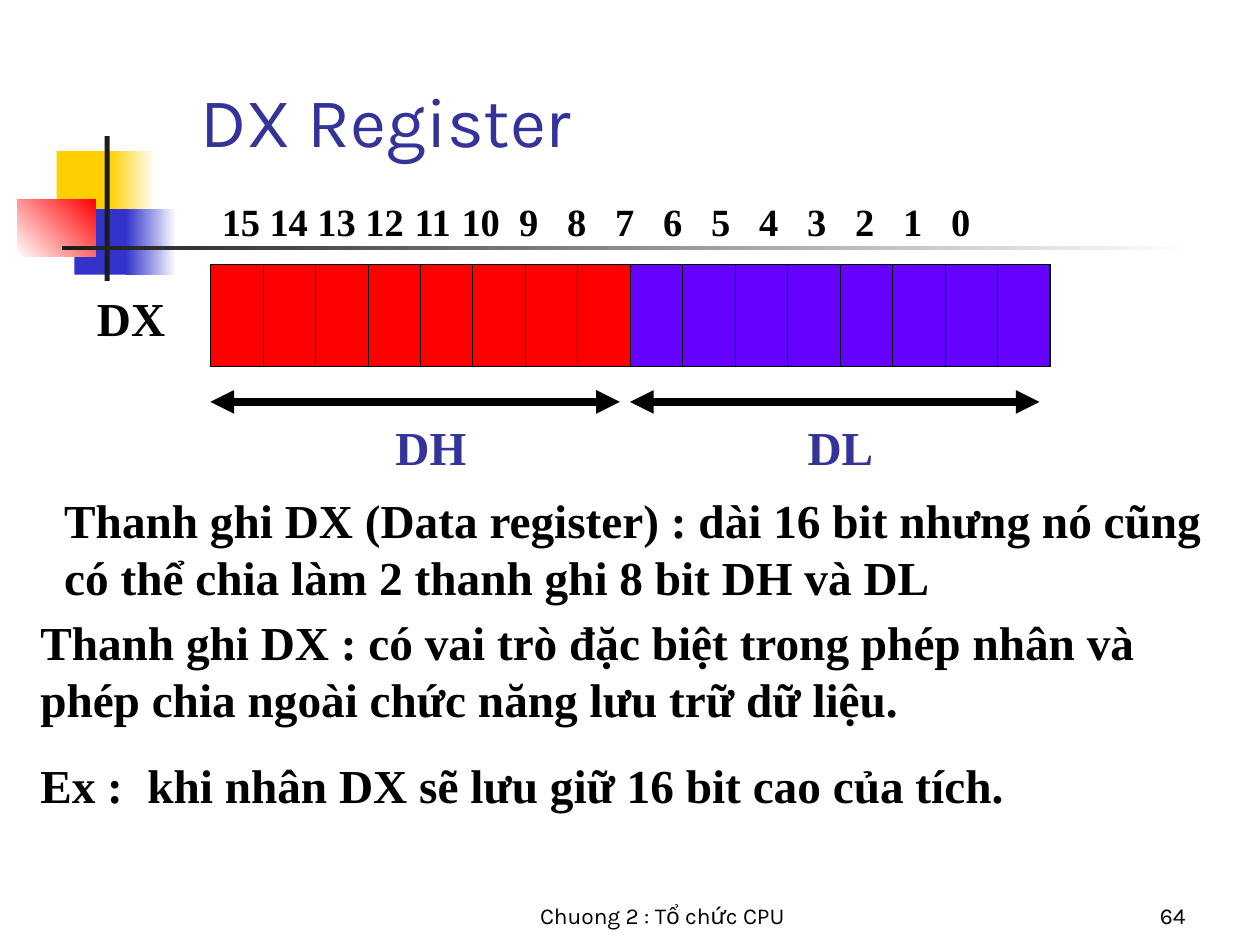
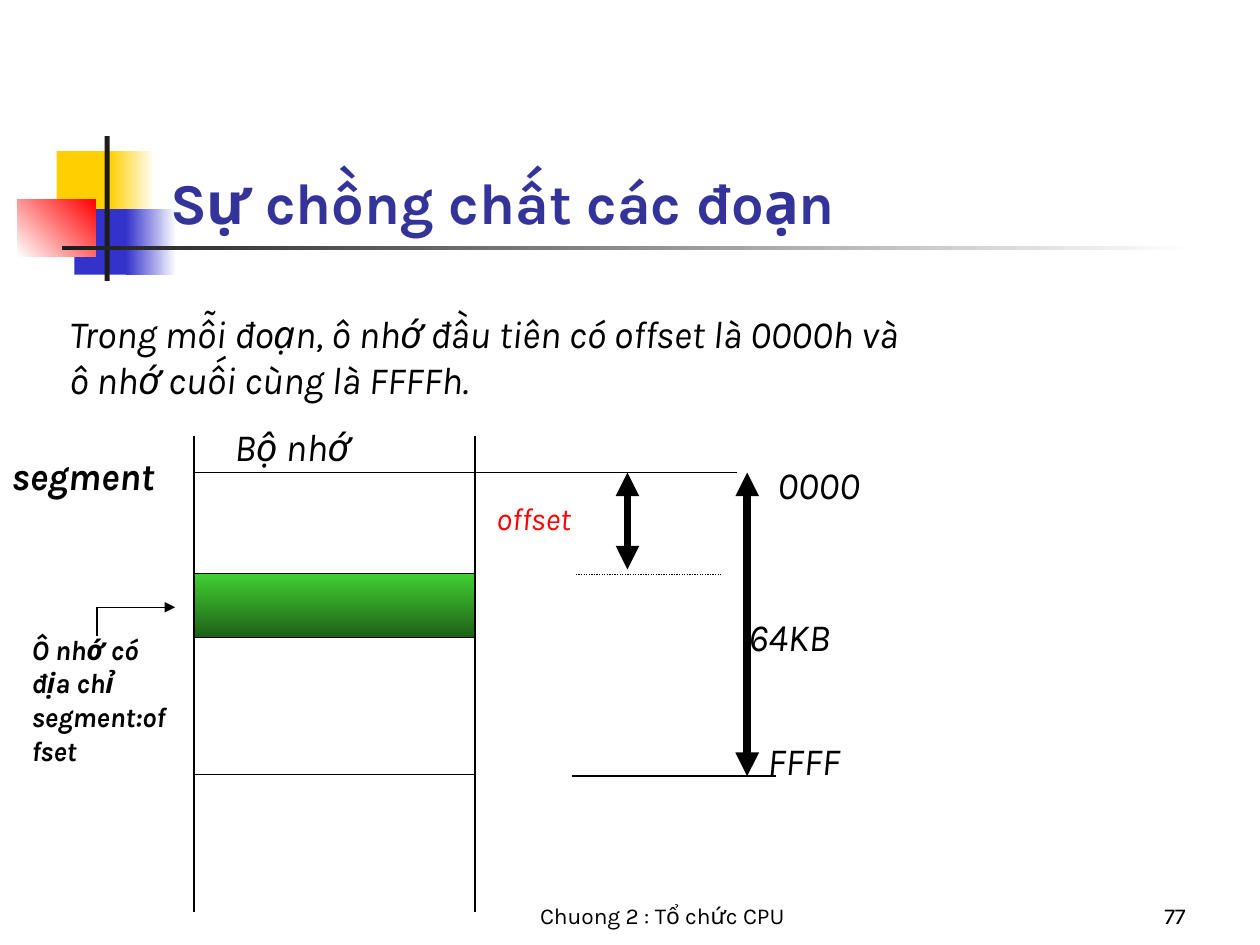
import dataclasses

import lxml.etree
import pptx
import pptx.dml.color
import pptx.dml.fill
import pptx.enum.dml
import pptx.enum.shapes
import pptx.enum.text
import pptx.oxml.ns
import pptx.presentation
import pptx.slide
import pptx.table
import pptx.util

RGBColor = pptx.dml.color.RGBColor
BLACK = RGBColor(0x00, 0x00, 0x00)
WHITE = RGBColor(0xFF, 0xFF, 0xFF)
COAL = RGBColor(0x1C, 0x1C, 0x1C)
GOLD = RGBColor(0xFF, 0xCF, 0x01)
BLUE = RGBColor(0x33, 0x33, 0xCC)
NAVY = RGBColor(0x33, 0x33, 0x99)
RED = RGBColor(0xFF, 0x00, 0x00)
VIOLET = RGBColor(0x66, 0x00, 0xFF)
LIME = RGBColor(0x40, 0xCF, 0x31)
FOREST = RGBColor(0x1E, 0x60, 0x17)

WIDTH = pptx.util.Inches(10)
HEIGHT = pptx.util.Inches(7.5)
COLS, ROWS = 100, 75
SANS, SERIF = "Karla", "Times New Roman"
THIN, THICK = 0.45, 1.08
ALIGN = pptx.enum.text.PP_ALIGN
ANCHOR = pptx.enum.text.MSO_ANCHOR
qn = pptx.oxml.ns.qn


@dataclasses.dataclass
class Box:
    left: float
    top: float
    wide: float
    high: float


@dataclasses.dataclass
class Label:
    box: Box
    text: str
    size: float
    font: str = SANS
    ink: RGBColor = BLACK
    bold: bool = False
    slant: bool = False
    align: ALIGN = ALIGN.LEFT
    anchor: ANCHOR = ANCHOR.TOP
    gap: float = 0
    tabs: tuple = ()
    stop: str = "l"


@dataclasses.dataclass
class Band:
    box: Box
    inks: tuple
    angle: float = 0


@dataclasses.dataclass
class Rule:
    start: tuple
    end: tuple
    weight: float = 0.75
    head: bool = False
    tail: bool = False
    dots: bool = False


BANDS = (
    Band(Box(4.5, 12, 4.8, 5.2), (GOLD,)),
    Band(Box(8.7, 12, 3.6, 5.2), (GOLD, WHITE)),
    Band(Box(5.9, 16.6, 4.6, 5.2), (BLUE,)),
    Band(Box(10, 16.6, 4, 5.2), (BLUE, WHITE)),
    Band(Box(1.4, 15.8, 6.2, 4.6), (WHITE, RED), 45),
    Band(Box(8.3, 10.8, 0.4, 11.5), (COAL,)),
    Band(Box(4.9, 19.5, 89.9, 0.35), (COAL, WHITE)),
)


def col(count: float) -> int:
    return round(WIDTH * count / COLS)


def row(count: float) -> int:
    return round(HEIGHT * count / ROWS)


def place(box: Box) -> tuple:
    return col(box.left), row(box.top), col(box.wide), row(box.high)


def style(thing: object, values: dict) -> None:
    for name, value in values.items():
        setattr(thing, name, value)


def paint(fill: pptx.dml.fill.FillFormat, inks: tuple, angle: float = 0) -> None:
    if not inks:
        fill.background()
    elif len(inks) == 1:
        fill.solid()
        fill.fore_color.rgb = inks[0]
    else:
        fill.gradient()
        fill.gradient_angle = angle
        for stop, ink in zip(fill.gradient_stops, inks):
            stop.color.rgb = ink


def write(shape: object, label: Label) -> None:
    frame = shape.text_frame
    side, edge = col(0.9), row(0.5)
    style(frame, {
        "text": label.text,
        "word_wrap": True,
        "auto_size": pptx.enum.text.MSO_AUTO_SIZE.NONE,
        "vertical_anchor": label.anchor,
        "margin_left": side,
        "margin_right": side,
        "margin_top": edge,
        "margin_bottom": edge,
    })
    for index, para in enumerate(frame.paragraphs):
        style(para, {"alignment": label.align, "space_before": pptx.util.Pt(label.gap if index else 0)})
        if label.tabs:
            stops = lxml.etree.SubElement(para._p.get_or_add_pPr(), qn("a:tabLst"))
            for tab in label.tabs:
                lxml.etree.SubElement(stops, qn("a:tab"), pos=str(col(tab)), algn=label.stop)
        style(para.font, {
            "size": pptx.util.Pt(label.size),
            "name": label.font,
            "bold": label.bold,
            "italic": label.slant,
        })
        para.font.color.rgb = label.ink


def add_label(slide: pptx.slide.Slide, label: Label) -> None:
    write(slide.shapes.add_textbox(*place(label.box)), label)


def add_rule(slide: pptx.slide.Slide, rule: Rule) -> None:
    (left, top), (right, low) = rule.start, rule.end
    line = slide.shapes.add_connector(
        pptx.enum.shapes.MSO_CONNECTOR.STRAIGHT, col(left), row(top), col(right), row(low))
    line.line.color.rgb = BLACK
    line.line.width = pptx.util.Pt(rule.weight)
    if rule.dots:
        line.line.dash_style = pptx.enum.dml.MSO_LINE.ROUND_DOT
    props = line.element.spPr
    for tag, shown in (("a:headEnd", rule.head), ("a:tailEnd", rule.tail)):
        if shown:
            lxml.etree.SubElement(props.find(qn("a:ln")), qn(tag), type="triangle")
    lxml.etree.SubElement(props, qn("a:effectLst"))


def add_table(slide: pptx.slide.Slide, box: Box, wides: list, highs: list) -> pptx.table.Table:
    table = slide.shapes.add_table(len(highs), len(wides), *place(box)).table
    style(table, {"first_row": False, "horz_banding": False})
    for column, wide in zip(table.columns, wides):
        column.width = col(wide)
    for line, high in zip(table.rows, highs):
        line.height = row(high)
    return table


def add_edges(cell: pptx.table._Cell, left: float, right: float, top: float, low: float) -> None:
    props = cell._tc.get_or_add_tcPr()
    for index, (side, weight) in enumerate(zip("LRTB", (left, right, top, low))):
        edge = lxml.etree.Element(qn(f"a:ln{side}"), w=str(pptx.util.Pt(weight)))
        if weight:
            fill = lxml.etree.SubElement(edge, qn("a:solidFill"))
            lxml.etree.SubElement(fill, qn("a:srgbClr"), val=str(BLACK))
        else:
            lxml.etree.SubElement(edge, qn("a:noFill"))
        props.insert(index, edge)


def add_bands(slide: pptx.slide.Slide) -> None:
    tree = slide.slide_layout.shapes.element
    for index, band in enumerate(BANDS):
        shape = slide.shapes.add_shape(pptx.enum.shapes.MSO_SHAPE.RECTANGLE, *place(band.box))
        shape.shadow.inherit = False
        shape.line.fill.background()
        paint(shape.fill, band.inks, band.angle)
        tree.insert(2 + index, shape.element)


def add_slide(deck: pptx.presentation.Presentation, title: Label, number: int) -> pptx.slide.Slide:
    slide = deck.slides.add_slide(deck.slide_layouts.get_by_name("Title Only"))
    head = slide.shapes.title
    style(head, dict(zip(("left", "top", "width", "height"), place(title.box))))
    write(head, title)
    for box, text, align in (
        (Box(36.7, 69.2, 31.7, 5), "Chuong 2 : Tổ chức CPU", ALIGN.CENTER),
        (Box(74.2, 69.2, 20.8, 5), str(number), ALIGN.RIGHT),
    ):
        add_label(slide, Label(box, text, 13, align=align, anchor=ANCHOR.BOTTOM))
    return slide


def draw_register(deck: pptx.presentation.Presentation) -> None:
    title = Label(Box(15, 5, 49.2, 8.3), "DX Register", 40, ink=NAVY, anchor=ANCHOR.BOTTOM)
    slide = add_slide(deck, title, 64)
    add_bands(slide)

    bits = 16
    half = bits // 2
    left, wide = 16.7, 66.7
    table = add_table(slide, Box(left, 21, wide, 8.1), [wide / bits] * bits, [8.1])
    for bit in range(bits):
        cell = table.cell(0, bit)
        paint(cell.fill, (RED if bit < half else VIOLET,))
        add_edges(cell, THIN if bit else THICK, THICK if bit == bits - 1 else THIN, THICK, THICK)

    serif = {"font": SERIF, "bold": True}
    add_label(slide, Label(
        Box(left, 15.2, 69.1, 4.6), "\t".join(str(bit) for bit in reversed(range(bits))), 22,
        tabs=tuple(1.5 + 3.81 * bit for bit in range(1, bits)), stop="ctr", **serif))
    add_label(slide, Label(Box(5, 22.5, 10.8, 5.4), "DX", 27, align=ALIGN.CENTER, **serif))
    for index, name in enumerate(("DH", "DL")):
        start = left + index * 33.3
        add_rule(slide, Rule((start, 31.9), (start + 32.5, 31.9), 4.5, True, True))
        add_label(slide, Label(
            Box(24.2 + index * 32.5, 32.7, 20, 5.4), name, 27, ink=NAVY, align=ALIGN.CENTER, **serif))
    add_label(slide, Label(
        Box(2.3, 48.2, 90, 16.8),
        "Thanh ghi DX : có vai trò đặc biệt trong phép nhân và phép chia ngoài chức năng "
        "lưu trữ dữ liệu.\nEx :\tkhi nhân DX sẽ lưu giữ 16 bit cao của tích.",
        27, gap=16.9, tabs=(8.5,), **serif))
    add_label(slide, Label(
        Box(4.2, 38.5, 93.4, 9.9),
        "Thanh ghi DX (Data register) : dài 16 bit nhưng nó cũng có thể chia làm "
        "2 thanh ghi 8 bit DH và DL", 27, **serif))


def draw_segment(deck: pptx.presentation.Presentation) -> None:
    title = Label(Box(12.6, 12, 85.2, 7.2), "Sự chồng chất các đoạn", 33,
                  ink=NAVY, bold=True, anchor=ANCHOR.BOTTOM)
    slide = add_slide(deck, title, 77)

    highs = [10.9, 5.1, 10.9, 10.9]
    last = len(highs) - 1
    table = add_table(slide, Box(15.4, 34.6, 22.3, sum(highs)), [22.3], highs)
    for index in range(len(highs)):
        cell = table.cell(index, 0)
        paint(cell.fill, (LIME, FOREST) if index == 1 else (), 270)
        add_edges(cell, THICK, THICK, THIN if index else 0, THIN if index < last else 0)

    base, low = 37.5, 61.6
    for rule in (
        Rule((15.4, base), (46.9, base)),
        Rule((46.9, base), (58.5, base)),
        Rule((45.7, 45.6), (57.2, 45.6), dots=True),
        Rule((45.4, low), (61.6, low)),
        Rule((49.8, base), (49.8, 45.2), 4.5, True, True),
        Rule((59.3, base), (59.3, low), 4.5, True, True),
        Rule((7.7, 48.2), (13.9, 48.2), tail=True),
        Rule((7.7, 48.2), (7.7, 50.5)),
    ):
        add_rule(slide, rule)

    for label in (
        Label(Box(4.6, 24.1, 69.3, 8.2),
              "Trong mỗi đoạn, ô nhớ đầu tiên có offset là 0000h và ô nhớ cuối cùng là FFFFh.", 22),
        Label(Box(58.5, 48.2, 13.1, 4.6), "64KB", 22),
        Label(Box(60.8, 36.1, 12.3, 4.6), "0000", 22),
        Label(Box(60, 58, 12.3, 4.6), "FFFF", 22),
        Label(Box(38.5, 39.1, 8.5, 3.9), "offset", 18, ink=RED),
        Label(Box(1.6, 49.7, 13.1, 11.6), "Ô nhớ có địa chỉ segment:offset", 16, bold=True),
        Label(Box(0, 35.4, 15.4, 4.6), "segment", 22, bold=True),
        Label(Box(17.7, 33.1, 16.9, 4.6), "Bộ nhớ", 22),
    ):
        add_label(slide, dataclasses.replace(label, slant=True))


def main() -> None:
    deck = pptx.Presentation()
    style(deck, {"slide_width": WIDTH, "slide_height": HEIGHT})
    draw_register(deck)
    draw_segment(deck)
    deck.save("out.pptx")


if __name__ == "__main__":
    main()
